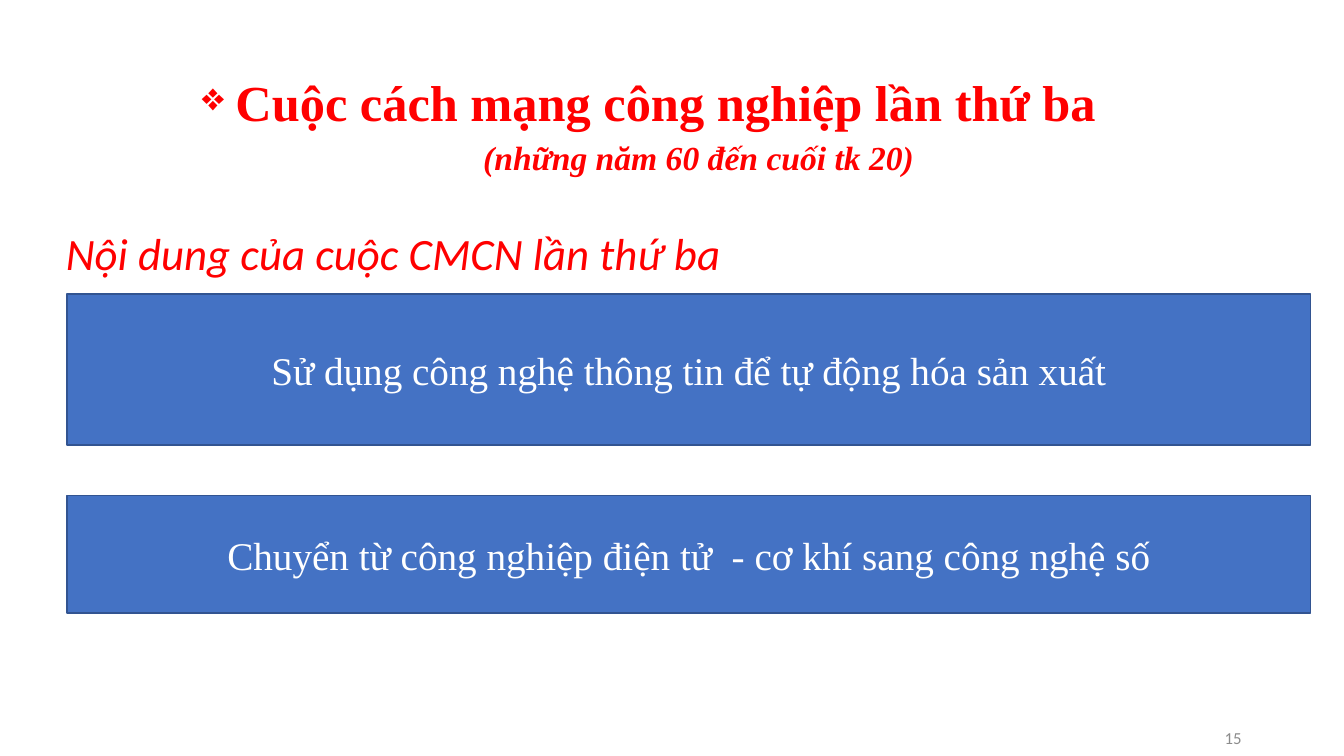
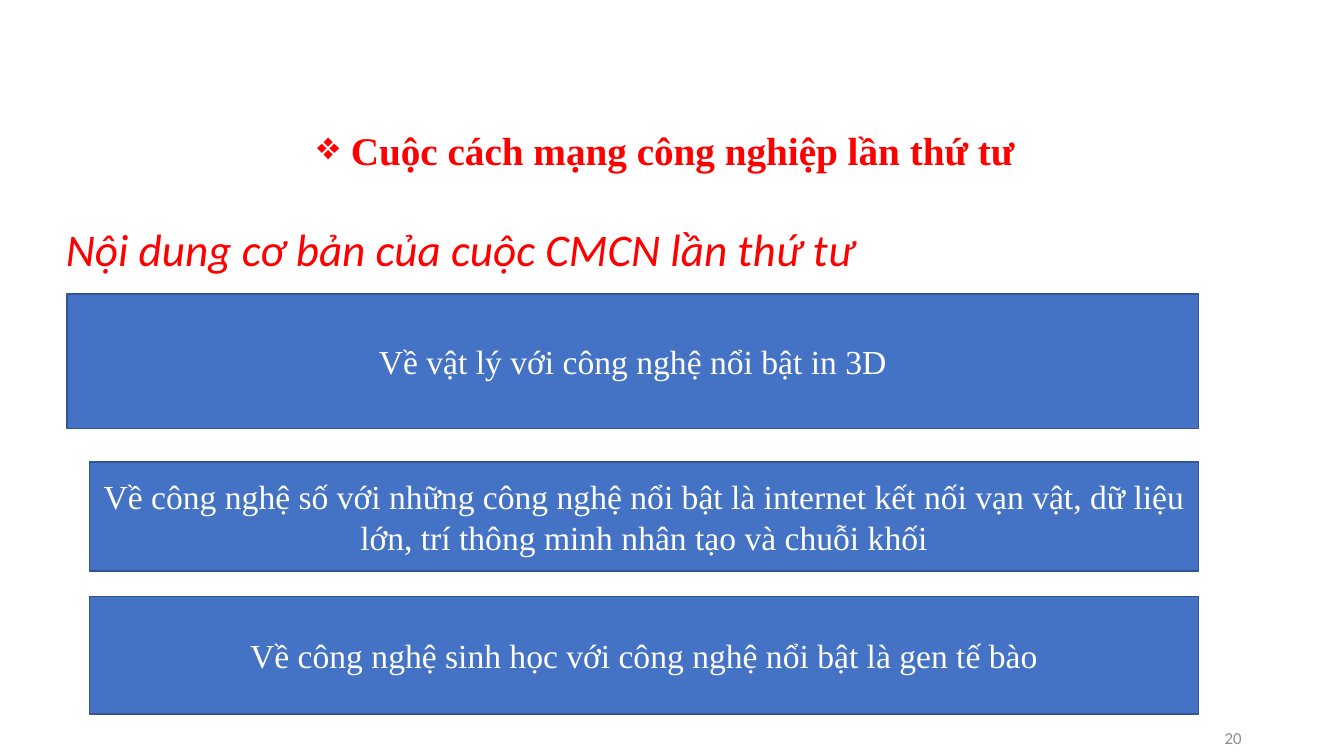
from lxml import etree
from pptx import Presentation
from pptx import util as u
from pptx.dml.color import RGBColor
from pptx.enum import shapes, text
from pptx.oxml.ns import qn

# Shared look
RED, BLUE, EDGE, WHITE, GREY = "FF0000", "4472C4", "325491", "FFFFFF", "8C8C8C"
SERIF, SANS = "Times New Roman", "Calibri"
TITLE = dict(name=SERIF, color=RED, bold=True)
HEAD = dict(name=SANS, color=RED, italic=True)
BAR = dict(name=SERIF, color=WHITE)
NUM = dict(name=SANS, color=GREY, size=u.Pt(12))
ALIGN, ANCHOR = text.PP_ALIGN, text.MSO_ANCHOR
BAR_TOP = 210


def tint(code):
    return RGBColor.from_string(code)


def write(para, words, style, **more):
    """Add one run with the given format values."""
    run = para.add_run()
    run.text = words
    for key, val in {**style, **more}.items():
        if key == "color":
            run.font.color.rgb = tint(val)
        else:
            setattr(run.font, key, val)


def add_box(slide, left, top, width, height, anchor=ANCHOR.TOP):
    box = slide.shapes.add_textbox(*map(u.Pt, (left, top, width, height)))
    frame = box.text_frame
    frame.word_wrap = True
    frame.vertical_anchor = anchor
    return frame


def add_title(slide, left, top, height, words, size, note=None):
    """Centred title with a diamond bullet and an optional second line."""
    frame = add_box(slide, left, top, 904, height)
    para = frame.paragraphs[0]
    para.alignment = ALIGN.CENTER
    mark = etree.SubElement(para._p.get_or_add_pPr(), qn("a:buChar"))
    mark.set("char", "❖")
    write(para, " ", TITLE, size=u.Pt(28))
    write(para, words, TITLE, size=u.Pt(size))
    if note:
        para = frame.add_paragraph()
        para.alignment = ALIGN.CENTER
        para.space_before = u.Pt(4)
        para._p.get_or_add_pPr().set("marL", str(u.Pt(70)))
        write(para, note, TITLE, size=u.Pt(24), italic=True)


def add_head(slide, words, size, gap):
    para = add_box(slide, 40, 162, 856, 42).paragraphs[0]
    para.line_spacing = gap
    write(para, words, HEAD, size=u.Pt(size))


def add_bars(slide, right, size, rows):
    """Blue bars that share a right edge; rows hold left, top, height, words."""
    for left, top, height, words in rows:
        bar = slide.shapes.add_shape(
            shapes.MSO_SHAPE.RECTANGLE,
            *map(u.Pt, (left, top, right - left, height)))
        bar.shadow.inherit = False
        bar.fill.solid()
        bar.fill.fore_color.rgb = tint(BLUE)
        bar.line.color.rgb = tint(EDGE)
        bar.line.width = u.Pt(1)
        frame = bar.text_frame
        frame.word_wrap = True
        frame.vertical_anchor = ANCHOR.MIDDLE
        para = frame.paragraphs[0]
        para.alignment = ALIGN.CENTER
        write(para, words, BAR, size=u.Pt(size))


def add_num(slide, num):
    para = add_box(slide, 678, 514, 216, 26, ANCHOR.MIDDLE).paragraphs[0]
    para.alignment = ALIGN.RIGHT
    write(para, str(num), NUM)


def main():
    deck = Presentation()
    deck.slide_width, deck.slide_height = u.Pt(960), u.Pt(540)
    blank = deck.slide_layouts[6]

    # Third revolution
    slide = deck.slides.add_slide(blank)
    add_title(slide, 12, 47, 85, "Cuộc cách mạng công nghiệp lần thứ ba", 36,
              "(những năm 60 đến cuối tk 20)")
    add_head(slide, "Nội dung của cuộc CMCN lần thứ ba", 32, 0.9)
    add_bars(slide, 936, 28, [
        (48, BAR_TOP, 108,
         "Sử dụng công nghệ thông tin để tự động hóa sản xuất"),
        (48, 354, 84,
         "Chuyển từ công nghiệp điện tử  - cơ khí sang công nghệ số"),
    ])
    add_num(slide, 15)

    # Fourth revolution
    slide = deck.slides.add_slide(blank)
    add_title(slide, 24, 87, 41, "Cuộc cách mạng công nghiệp lần thứ tư", 28)
    add_head(slide, "Nội dung cơ bản của cuộc CMCN lần thứ tư", 32.3, 0.8)
    add_bars(slide, 856, 24, [
        (48, BAR_TOP, 96, "Về vật lý với công nghệ nổi bật in 3D"),
        (64, 330, 78,
         "Về công nghệ số với những công nghệ nổi bật là internet kết nối "
         "vạn vật, dữ liệu lớn, trí thông minh nhân tạo và chuỗi khối"),
        (64, 426, 84,
         "Về công nghệ sinh học với công nghệ nổi bật là gen tế bào"),
    ])
    add_num(slide, 20)

    deck.save("out.pptx")


if __name__ == "__main__":
    main()
